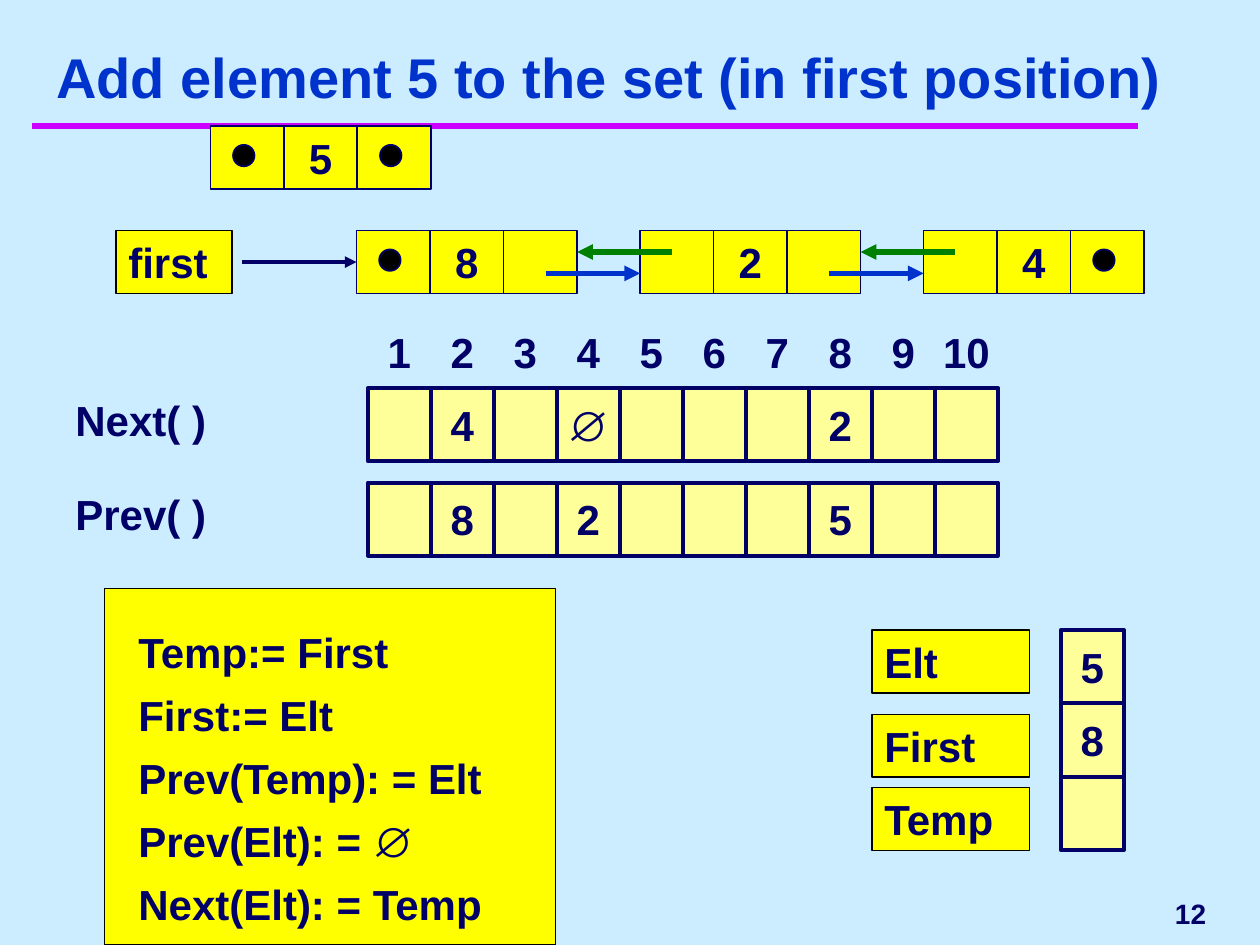
from dataclasses import dataclass
from lxml import etree
from pptx import Presentation
from pptx.dml.color import RGBColor
from pptx.enum.shapes import MSO_CONNECTOR, MSO_SHAPE
from pptx.enum.text import MSO_ANCHOR, MSO_AUTO_SIZE, PP_ALIGN
from pptx.oxml.ns import qn
from pptx.util import Inches, Pt

RECT, OVAL = MSO_SHAPE.RECTANGLE, MSO_SHAPE.OVAL
LEFT, CENTER, RIGHT = PP_ALIGN.LEFT, PP_ALIGN.CENTER, PP_ALIGN.RIGHT
TOP, MIDDLE, BOTTOM = MSO_ANCHOR.TOP, MSO_ANCHOR.MIDDLE, MSO_ANCHOR.BOTTOM
STRAIGHT = MSO_CONNECTOR.STRAIGHT


@dataclass(frozen=True)
class Theme:
    font: str = "Arial"
    background: RGBColor = RGBColor(0xCC, 0xEC, 0xFF)
    ink: RGBColor = RGBColor(0x00, 0x00, 0x66)
    blue: RGBColor = RGBColor(0x00, 0x33, 0xCC)
    green: RGBColor = RGBColor(0x00, 0x80, 0x00)
    magenta: RGBColor = RGBColor(0xCC, 0x00, 0xFF)
    yellow: RGBColor = RGBColor(0xFF, 0xFF, 0x00)
    cream: RGBColor = RGBColor(0xFF, 0xFF, 0x99)
    black: RGBColor = RGBColor(0, 0, 0)
    title_size: Pt = Pt(32)
    body_size: Pt = Pt(24)
    number_size: Pt = Pt(16)


theme = Theme()
prs = Presentation()
prs.slide_width, prs.slide_height = Inches(10), Inches(7.5)
s = prs.slides.add_slide(prs.slide_layouts[5])
s.background.fill.solid()
s.background.fill.fore_color.rgb = theme.background


def add_box(left, top, width, height, text="", kind=None, fill=None,
            line=theme.ink, weight=1, align=CENTER, size=theme.body_size):
    frame = Inches(left), Inches(top), Inches(width), Inches(height)
    if kind is None:
        sp = s.shapes.add_textbox(*frame)
    else:
        sp = s.shapes.add_shape(kind, *frame)
        sp.shadow.inherit = False
        sp.fill.solid()
        sp.fill.fore_color.rgb = fill
        sp.line.color.rgb = line
        sp.line.width = Pt(weight)
    if text:
        tf = sp.text_frame
        tf.text = text
        tf.word_wrap = align == LEFT
        tf.vertical_anchor = TOP if align == LEFT else MIDDLE
        if align == CENTER:
            tf.margin_left = tf.margin_right = Inches(0)
        p = tf.paragraphs[0]
        p.alignment = align
        font = p.runs[0].font
        font.name, font.size, font.bold = theme.font, size, True
        font.color.rgb = theme.ink
    return sp


def add_line(x1, y1, x2, y2, color, weight, arrow=True):
    line = s.shapes.add_connector(STRAIGHT, Inches(x1), Inches(y1), Inches(x2), Inches(y2))
    line.line.color.rgb = color
    line.line.width = Pt(weight)
    if arrow:
        etree.SubElement(line.line._get_or_add_ln(), qn("a:tailEnd"), type="triangle")
    etree.SubElement(line._element.spPr, qn("a:effectLst"))
    return line


title = s.shapes.title
title.left, title.top = Inches(0), Inches(0.17)
title.width, title.height = Inches(9.67), Inches(0.75)
tf = title.text_frame
tf.text = "Add element 5 to the set (in first position)"
tf.auto_size = MSO_AUTO_SIZE.NONE
tf.word_wrap = True
tf.vertical_anchor = BOTTOM
p = tf.paragraphs[0]
p.alignment = CENTER
font = p.runs[0].font
font.name, font.size, font.bold = theme.font, theme.title_size, True
font.color.rgb = theme.blue

add_line(0.25, 1, 9.03, 1, theme.magenta, 4, arrow=False)
add_box(7.75, 7, 1.92, 0.5, "12", align=RIGHT, size=theme.number_size)

node_cell, node_height, dot = 7 / 12, 0.5, 0.17
list_left, list_top, node_pitch = 2.83, 1.83, 2.25
nodes = [
    (1.67, 1, "5", (0, 2)),
    (list_left, list_top, "8", (0,)),
    (list_left + node_pitch, list_top, "2", ()),
    (list_left + 2 * node_pitch, list_top, "4", (2,)),
]
first_cells = []
for left, top, value, empty_links in nodes:
    for i, text in enumerate(("", value, "")):
        x = left + i * node_cell
        cell = add_box(x, top, node_cell, node_height, text, RECT, theme.yellow)
        if i == 0:
            first_cells.append(cell)
        if i in empty_links:
            add_box(x + 0.18, top + 0.15, dot, dot, kind=OVAL, fill=theme.black)

for i in range(2):
    left = list_left + i * node_pitch
    add_line(left + 1.5, 2.17, left + node_pitch, 2.17, theme.blue, 3)
    add_line(left + 2.5, 2, left + 1.75, 2, theme.green, 3)

label_style = dict(kind=RECT, fill=theme.yellow, line=theme.black, align=LEFT)
add_box(0.92, list_top, 0.92, 0.5, "first", **label_style)
first_arrow = add_line(1.92, 2.08, list_left, 2.08, theme.ink, 2.25)
first_arrow.end_connect(first_cells[1], 1)

array_left, cell_width, cell_height = 2.92, 0.5, 0.58
cell_style = dict(kind=RECT, fill=theme.cream, weight=2.25)
arrays = [
    ("Next( )", 3.08, {2: "4", 4: "∅", 8: "2"}),
    ("Prev( )", 3.83, {2: "8", 4: "2", 8: "5"}),
]
for i in range(1, 11):
    add_box(array_left + (i - 1) * cell_width, 2.5, cell_width, cell_height, str(i))
for name, top, values in arrays:
    add_box(0.5, top, 1.83, 0.5, name, align=LEFT)
    for i in range(1, 11):
        x = array_left + (i - 1) * cell_width
        add_box(x, top, cell_width, cell_height, values.get(i, ""), **cell_style)

add_box(0.83, 4.67, 3.58, 2.83, kind=RECT, fill=theme.yellow, line=theme.black)
steps = ["Temp:= First", "First:= Elt", "Prev(Temp): = Elt", "Prev(Elt): = ∅", "Next(Elt): = Temp"]
for i, step in enumerate(steps):
    add_box(1, 4.92 + i * 0.5, 3.33, 0.5, step, align=LEFT)

variables = [("Elt", 5, "5"), ("First", 5.67, "8"), ("Temp", 6.25, "")]
for i, (name, top, value) in enumerate(variables):
    add_box(6.92, top, 1.25, 0.5, name, **label_style)
    add_box(8.42, 5 + i * 7 / 12, cell_width, cell_height, value, **cell_style)

prs.save("out.pptx")
